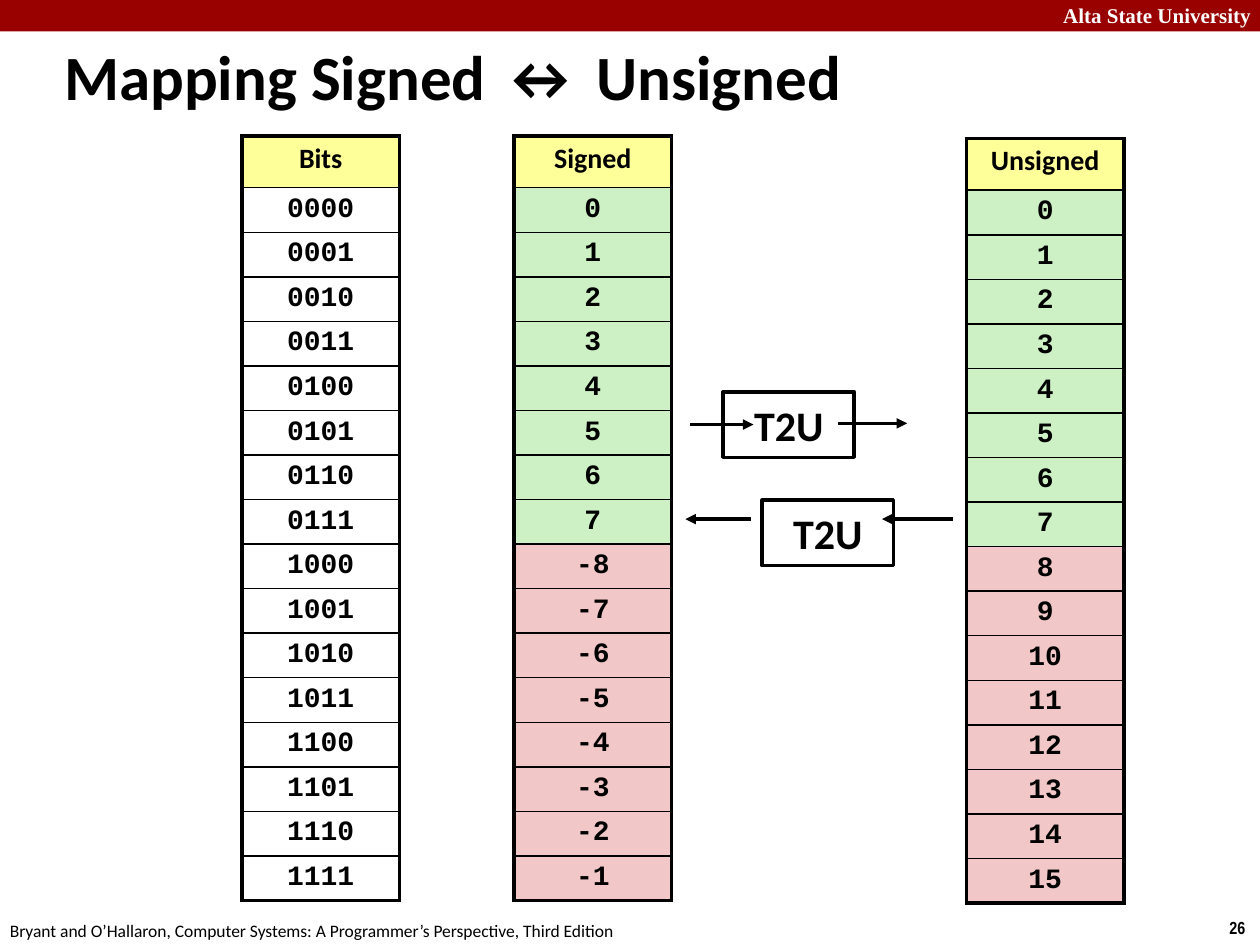
from lxml import etree
from pptx import Presentation
from pptx.dml.color import RGBColor
from pptx.enum.shapes import MSO_CONNECTOR, MSO_SHAPE
from pptx.enum.text import MSO_ANCHOR, PP_ALIGN
from pptx.oxml.ns import qn
from pptx.util import Inches, Pt


def color(value):
    return RGBColor.from_string(value)


def write(frame, text, size=16, font="Calibri", ink="000000", bold=True,
          align=PP_ALIGN.LEFT, spacing=None):
    para = frame.paragraphs[0]
    para.alignment = align
    para.line_spacing = spacing
    span = para.add_run()
    span.text = text
    span.font.size = Pt(size)
    span.font.name = font
    span.font.bold = bold
    span.font.color.rgb = color(ink)


deck = Presentation()
deck.slide_width, deck.slide_height = Inches(10), Inches(7.5)
page = deck.slides.add_slide(deck.slide_layouts[6])

# Top band
band = page.shapes.add_shape(MSO_SHAPE.RECTANGLE, 0, 0, Inches(10), Inches(0.25))
band.shadow.inherit = False
band.fill.solid()
band.fill.fore_color.rgb = color("990000")
band.line.fill.background()

# Title, header and footer texts
labels = [
    ("Alta State University", (8.34, -0.03, 1.73, 0.3), (0.1, 0.05),
     dict(size=12, font="Times New Roman", ink="FFFFFF")),
    ("26", (9.66, 7.23, 0.34, 0.27), (0.1, 0.05),
     dict(size=10, font="Arial Narrow")),
    ("Bryant and O’Hallaron, Computer Systems: A Programmer’s Perspective, Third Edition",
     (-0.02, 7.25, 5.08, 0.27), (0.1, 0.05), dict(size=10, bold=False)),
    ("Mapping Signed ↔ Unsigned", (0.44, 0.27, 7.46, 0.61), (0.07, 0.03),
     dict(size=36)),
]
for text, place, (side, end), style in labels:
    box = page.shapes.add_textbox(*map(Inches, place))
    frame = box.text_frame
    frame.word_wrap = True
    frame.margin_left = frame.margin_right = Inches(side)
    frame.margin_top = frame.margin_bottom = Inches(end)
    write(frame, text, **style)

# One single-column table per reading of the 4-bit patterns
GREEN, RED, YELLOW = "CDF1C5", "F1C7C7", "FFFF99"
patterns = range(16)
columns = [
    ("Signed", 4.08, 1.08, [str(n if n < 8 else n - 16) for n in patterns], True),
    ("Unsigned", 7.67, 1.1, [str(n) for n in patterns], True),
    ("Bits", 1.92, 1.08, [f"{n:04b}" for n in patterns], False),
]
for heading, left, top, values, shaded in columns:
    rows = [heading] + values
    table = page.shapes.add_table(len(rows), 1, Inches(left), Inches(top),
                                  Inches(1.25), Inches(6.01)).table
    table.first_row = table.horz_banding = False
    for index, text in enumerate(rows):
        is_heading = index == 0
        table.rows[index].height = Inches(0.41 if is_heading else 0.35)
        cell = table.cell(index, 0)
        cell.margin_left = cell.margin_right = Inches(0.05)
        cell.margin_top = cell.margin_bottom = Inches(0.05)
        write(cell.text_frame, text, align=PP_ALIGN.CENTER, spacing=0.95,
              font="Calibri" if is_heading else "Courier New")

        # Thick outer frame, thin inner rules
        widths = {"lnL": 2.25, "lnR": 2.25,
                  "lnT": 2.25 if is_heading else 1,
                  "lnB": 2.25 if index == len(values) else 1}
        properties = cell._tc.get_or_add_tcPr()
        for edge, width in widths.items():
            border = etree.SubElement(properties, qn(f"a:{edge}"), w=str(Pt(width)))
            fill = etree.SubElement(border, qn("a:solidFill"))
            etree.SubElement(fill, qn("a:srgbClr"), val="000000")

        if is_heading or shaded:
            cell.fill.solid()
            cell.fill.fore_color.rgb = color(
                YELLOW if is_heading else GREEN if index <= 8 else RED)
        else:
            cell.fill.background()

# Conversion boxes, each with an arrow in and an arrow out
conversions = [
    (6.05, 3.97, [(5.96, 5.44, 4.12), (7.56, 7, 4.12)]),
    (5.74, 3.11, [(5.48, 5.98, 3.37), (6.65, 7.2, 3.36)]),
]
for left, top, arrows in conversions:
    group = page.shapes.add_group_shape()
    box = group.shapes.add_shape(MSO_SHAPE.RECTANGLE, Inches(left), Inches(top),
                                 Inches(1.04), Inches(0.52))
    box.shadow.inherit = False
    box.fill.solid()
    box.fill.fore_color.rgb = color("FFFFFF")
    box.line.color.rgb = color("000000")
    box.line.width = Pt(2)
    box.text_frame.vertical_anchor = MSO_ANCHOR.MIDDLE
    write(box.text_frame, "T2U", size=24, align=PP_ALIGN.CENTER)
    for start, end, height in arrows:
        arrow = group.shapes.add_connector(
            MSO_CONNECTOR.STRAIGHT, Inches(start), Inches(height),
            Inches(end), Inches(height))
        arrow.line.color.rgb = color("000000")
        arrow.line.width = Pt(2)
        etree.SubElement(arrow.line._get_or_add_ln(), qn("a:tailEnd"), type="triangle")
        etree.SubElement(arrow._element.spPr, qn("a:effectLst"))

deck.save("out.pptx")
